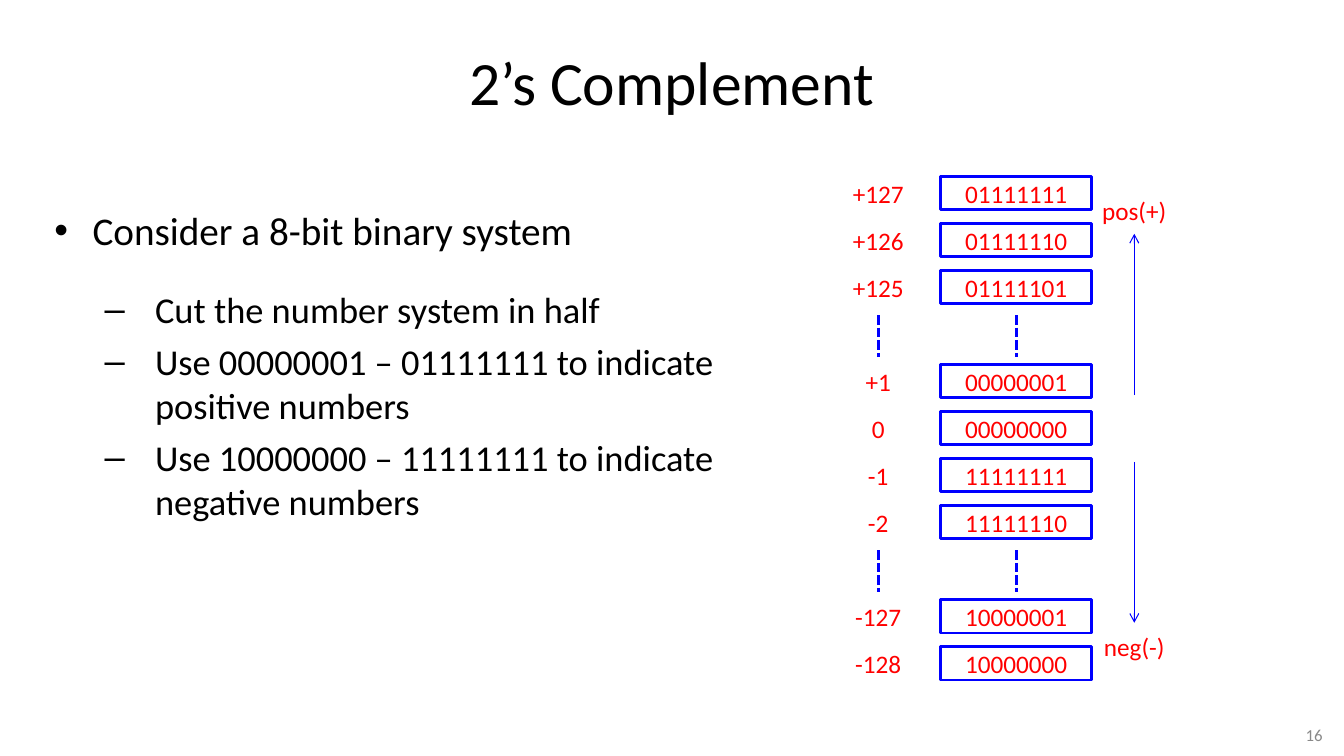
from lxml import etree
from pptx import Presentation
from pptx.dml.color import RGBColor
from pptx.enum.dml import MSO_LINE
from pptx.enum.shapes import MSO_CONNECTOR, MSO_SHAPE
from pptx.enum.text import MSO_ANCHOR, PP_ALIGN
from pptx.oxml.ns import qn
from pptx.util import Inches, Pt

RECT = MSO_SHAPE.RECTANGLE
STRAIGHT = MSO_CONNECTOR.STRAIGHT
DASH = MSO_LINE.SQUARE_DOT
LEFT, CENTER, RIGHT = PP_ALIGN.LEFT, PP_ALIGN.CENTER, PP_ALIGN.RIGHT
TOP, MIDDLE = MSO_ANCHOR.TOP, MSO_ANCHOR.MIDDLE

COLORS = {"text": "000000", "value": "FF0000", "line": "0000FF", "number": "898989"}
FONT = "Calibri"
SLIDE_W, SLIDE_H = 13.33, 7.5

# Diagram grid: (left, width) of each column, and the row rhythm, in inches
COLUMNS = {"decimal": (8.17, 1.08), "binary": (9.33, 1.5), "sign": (10.75, 1)}
GRID_TOP, ROW_PITCH, ROW_H = 1.75, 7 / 15, 0.33

# Grid rows holding a number; the rows left out are the dashed gaps
NUMBERS = {0: 127, 1: 126, 2: 125, 4: 1, 5: 0, 6: -1, 7: -2, 9: -127, 10: -128}
GAP_ROWS = (3, 8)

# Text, size, left margin, hanging indent, space after, bullet
POINTS = [
    ("Consider a 8-bit binary system", 28, 0.38, 0.38, 24, "•"),
    ("Cut the number system in half", 26, 1, 0.5, 6, "–"),
    ("Use 00000001 – 01111111 to indicate positive numbers", 26, 1, 0.5, 6, "–"),
    ("Use 10000000 – 11111111 to indicate negative numbers", 26, 1, 0.5, 6, "–"),
]


def rgb(name):
    return RGBColor.from_string(COLORS[name])


def percent_box(left, top, width, height):
    """Turn percentages of the slide into lengths."""
    return [Inches(share * side / 100) for share, side in
            ((left, SLIDE_W), (top, SLIDE_H), (width, SLIDE_W), (height, SLIDE_H))]


def row_y(row):
    return Inches(GRID_TOP + row * ROW_PITCH)


def cell_box(column, row):
    left, width = COLUMNS[column]
    return Inches(left), row_y(row), Inches(width), Inches(ROW_H)


def column_center(column):
    left, width = COLUMNS[column]
    return Inches(left + width / 2)


def add_run(p, text, size, color):
    r = p.add_run()
    r.text = text
    r.font.name = FONT
    r.font.size = Pt(size)
    r.font.color.rgb = rgb(color)


def write(sp, text, size, color, align=CENTER):
    tf = sp.text_frame
    tf.word_wrap = True
    tf.vertical_anchor = MIDDLE
    tf.margin_top = tf.margin_bottom = 0
    p = tf.paragraphs[0]
    p.alignment = align
    add_run(p, text, size, color)


def add_label(s, box, text, size=18, color="value", align=CENTER):
    write(s.shapes.add_textbox(*box), text, size, color, align)


def add_binary_box(s, row, bits):
    sp = s.shapes.add_shape(RECT, *cell_box("binary", row))
    sp.shadow.inherit = False
    sp.fill.background()
    sp.line.color.rgb = rgb("line")
    sp.line.width = Pt(2)
    write(sp, bits, 18, "value")


def add_vertical(s, column, start, end, width):
    x = column_center(column)
    line = s.shapes.add_connector(STRAIGHT, x, row_y(start), x, row_y(end))
    line.line.color.rgb = rgb("line")
    line.line.width = Pt(width)
    etree.SubElement(line._element.spPr, qn("a:effectLst"))
    return line


def add_gap(s, column, row):
    add_vertical(s, column, row - 0.05, row + 0.83, 2.25).line.dash_style = DASH


def add_arrow(s, start, end):
    line = add_vertical(s, "sign", start, end, 0.75)
    etree.SubElement(line.line._get_or_add_ln(), qn("a:tailEnd"), type="arrow")


def add_bullets(s, box, points):
    tf = s.shapes.add_textbox(*box).text_frame
    tf.word_wrap = True
    tf.vertical_anchor = TOP
    for i, (text, size, margin, hang, after, bullet) in enumerate(points):
        p = tf.add_paragraph() if i else tf.paragraphs[0]
        p.alignment = LEFT
        p.space_after = Pt(after)
        add_run(p, text, size, "text")
        pPr = p._p.get_or_add_pPr()
        pPr.set("marL", str(Inches(margin)))
        pPr.set("indent", str(-Inches(hang)))
        etree.SubElement(pPr, qn("a:buFont"), typeface="Arial")
        etree.SubElement(pPr, qn("a:buChar"), char=bullet)


def main():
    prs = Presentation()
    prs.slide_width, prs.slide_height = Inches(SLIDE_W), Inches(SLIDE_H)
    s = prs.slides.add_slide(prs.slide_layouts[6])

    # Title and bullets
    add_label(s, percent_box(5, 4, 90, 13.5), "2’s Complement", 44, "text")
    add_bullets(s, percent_box(3.3, 26.67, 58.8, 63.5), POINTS)

    # Decimal values beside their 8-bit codes
    for row, value in NUMBERS.items():
        add_label(s, cell_box("decimal", row), f"{value:+d}" if value else "0")
        add_binary_box(s, row, f"{value & 255:08b}")
    for row in GAP_ROWS:
        for column in ("decimal", "binary"):
            add_gap(s, column, row)

    # Directions of the two halves
    add_label(s, cell_box("sign", 0.36), "pos(+)")
    add_arrow(s, 4.65, 1.22)
    add_arrow(s, 6.07, 9.49)
    add_label(s, cell_box("sign", 9.64), "neg(-)")

    # Slide number
    add_label(s, percent_box(88.45, 95.2, 10.7, 3.87), "16", 12, "number", RIGHT)

    prs.save("out.pptx")


if __name__ == "__main__":
    main()
